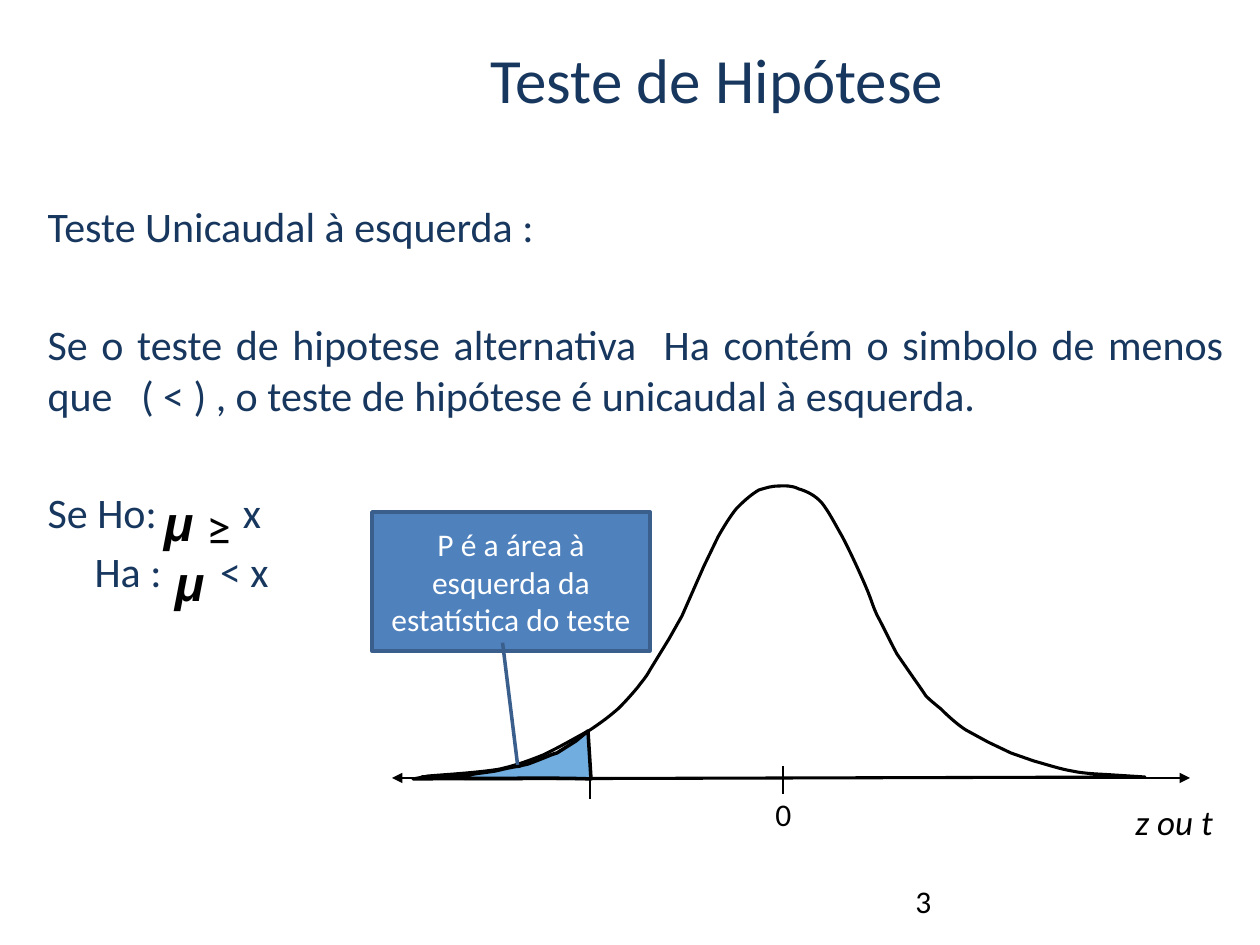
from lxml import etree
from pptx import Presentation
from pptx.dml.color import RGBColor
from pptx.enum.shapes import MSO_CONNECTOR, MSO_SHAPE
from pptx.enum.text import MSO_ANCHOR, MSO_AUTO_SIZE, PP_ALIGN
from pptx.oxml.ns import qn
from pptx.util import Pt

LEFT, CENTER, JUSTIFY = PP_ALIGN.LEFT, PP_ALIGN.CENTER, PP_ALIGN.JUSTIFY
TOP, MIDDLE = MSO_ANCHOR.TOP, MSO_ANCHOR.MIDDLE
STRAIGHT, CALLOUT = MSO_CONNECTOR.STRAIGHT, MSO_SHAPE.LINE_CALLOUT_1
NO_FIT = MSO_AUTO_SIZE.NONE

EMU_PER_PX = 914400 / 126
COLORS = {"navy": "17375E", "black": "000000", "white": "FFFFFF",
          "tail": "71ADDF", "callout": "4F81BD", "callout_edge": "3A5F8C"}

# Content: (parts, space before in points, left indent in pixels);
# a number between two parts widens the space there, in points
TITLE = "Teste de Hipótese"
BODY = [
    (["Teste Unicaudal à esquerda :"], 0, 0),
    (["Se o teste de hipotese alternativa", 7.7,
      "Ha contém o simbolo de menos que", 10.8,
      "( < ) , o teste de hipótese é unicaudal à esquerda."], 39, 0),
    (["Se Ho:", 43.7, "x"], 38, 0),
    (["Ha :", 28, "< x"], 4.8, 47),
]
CALLOUT_TEXT = "P é a área à esquerda da estatística do teste"
CALLOUT_POINTER = (0.941, 0.47, 1.82, 0.524)

# Labels: text, box, format
MU = {"size": 28, "font": "Arial", "bold": True, "italic": True, "inset": 0}
LABELS = [
    ("3", (903, 876, 294, 50), {}),
    ("μ", (164, 493, 38, 59), MU),
    ("≥", (194, 490, 52, 72), {"size": 28}),
    ("μ", (175, 552, 38, 59), MU),
    ("0", (759, 789, 49, 50), {"align": CENTER}),
    ("z ou t", (1123, 794, 122, 55), {"size": 20, "italic": True}),
]

# Axis and its marks: start, end, arrowheads
AXIS_LINES = [
    ((392, 778), (1190, 778), True),
    ((590, 771), (590, 799), False),
    ((783, 766), (783, 794), False),
]

# Outlines: two numbers are a straight step, six are a Bézier step
BELL = [
    (413, 779), (428, 776), (441, 775),
    (454, 774, 483, 772, 500, 769), (517, 765, 528, 761, 543, 755),
    (558, 748, 577, 737, 590, 730), (602, 722, 610, 716, 619, 708),
    (626, 701, 633, 693, 638, 687), (643, 680, 645, 679, 650, 670),
    (669, 639), (682, 616), (693, 591), (704, 566), (718, 537),
    (723, 528, 731, 515, 737, 508), (745, 500, 752, 494, 759, 490),
    (766, 488, 771, 486, 779, 486), (785, 486, 791, 485, 799, 489),
    (806, 491, 815, 495, 822, 503), (829, 512, 834, 522, 842, 536),
    (849, 549, 861, 575, 866, 587), (872, 601, 872, 604, 877, 615),
    (883, 626, 891, 643, 897, 654), (915, 680),
    (920, 687, 922, 690, 926, 696), (931, 701, 935, 704, 941, 709),
    (948, 716, 958, 725, 966, 730), (988, 742), (1011, 753), (1034, 761),
    (1045, 764, 1060, 769, 1072, 771), (1086, 774, 1101, 774, 1114, 775),
    (1145, 777), (413, 779),
]
LEFT_TAIL = [
    (422, 777), (423, 779, 442, 778, 462, 776), (485, 772, 475, 774, 495, 771),
    (513, 767, 489, 772, 513, 767), (532, 764, 505, 769, 528, 764),
    (552, 755, 547, 756, 557, 753), (576, 741), (588, 731), (591, 779),
    (534, 777, 478, 780, 422, 777),
]


def px(value):
    return round(value * EMU_PER_PX)


def rgb(name):
    return RGBColor.from_string(COLORS[name])


def place(shape, box):
    shape.left, shape.top, shape.width, shape.height = map(px, box)


def write(shape, paragraphs, size=18, font="Calibri", color="black", bold=False,
          italic=False, align=LEFT, anchor=TOP, inset=None):
    """Text is a string, or a list of (parts, space before, left indent)."""
    if isinstance(paragraphs, str):
        paragraphs = [([paragraphs], 0, 0)]
    frame = shape.text_frame
    frame.word_wrap, frame.auto_size, frame.vertical_anchor = True, NO_FIT, anchor
    if inset is not None:
        frame.margin_left = frame.margin_right = px(inset)
        frame.margin_top = frame.margin_bottom = px(inset)
    for index, (parts, before, indent) in enumerate(paragraphs):
        paragraph = frame.add_paragraph() if index else frame.paragraphs[0]
        paragraph.alignment, paragraph.space_before = align, Pt(before)
        for part in parts:
            run = paragraph.add_run()
            run.text = part if isinstance(part, str) else " "
            run.font.name, run.font.size = font, Pt(size)
            run.font.bold, run.font.italic = bold, italic
            run.font.color.rgb = rgb(color)
            if not isinstance(part, str):
                run._r.get_or_add_rPr().set("spc", str(round(part * 100)))
        # No bullet, own indent
        properties = paragraph._p.get_or_add_pPr()
        properties.set("marL", str(px(indent)))
        properties.set("indent", "0")
        etree.SubElement(properties, qn("a:buNone"))


def style(shape, line, width, fill=None):
    shape.shadow.inherit = False
    shape.line.color.rgb, shape.line.width = rgb(line), Pt(width)
    if fill:
        shape.fill.solid()
        shape.fill.fore_color.rgb = rgb(fill)
    else:
        shape.fill.background()


def draw_outline(outline, width, fill=None):
    start, *steps = outline
    builder = slide.shapes.build_freeform(*map(px, start))
    builder.add_line_segments([tuple(map(px, step[-2:])) for step in steps], close=True)
    shape = builder.convert_to_shape()
    # Bend the Bézier steps by adding their control points
    segments = list(shape._element.iter(qn("a:lnTo")))
    for segment, step in zip(segments, steps):
        if len(step) == 6:
            segment.tag = qn("a:cubicBezTo")
            for position in (0, 1):
                x, y = step[2 * position:2 * position + 2]
                control = etree.Element(qn("a:pt"), x=str(px(x) - shape.left),
                                        y=str(px(y) - shape.top))
                segment.insert(position, control)
    style(shape, "black", width, fill)


presentation = Presentation()
presentation.slide_width, presentation.slide_height = px(1260), px(945)
slide = presentation.slides.add_slide(presentation.slide_layouts[1])

# Title and body
title, body = slide.placeholders
place(title, (124, 34, 1186, 101))
write(title, TITLE, size=36, color="navy", align=CENTER)
place(body, (35, 194, 1201, 377))
write(body, BODY, size=24, color="navy", align=JUSTIFY)

# Labels
for text, box, text_format in LABELS:
    label = slide.shapes.add_textbox(*map(px, box))
    write(label, text, **text_format)

# Axis and marks
for start, end, arrows in AXIS_LINES:
    axis = slide.shapes.add_connector(STRAIGHT, *map(px, start + end))
    axis.line.color.rgb, axis.line.width = rgb("black"), Pt(0.75)
    if arrows:
        for end_tag in ("a:headEnd", "a:tailEnd"):
            etree.SubElement(axis.line._get_or_add_ln(), qn(end_tag), type="triangle")
    etree.SubElement(axis._element.spPr, qn("a:effectLst"))

# Bell curve and shaded tail
draw_outline(BELL, 1.75)
draw_outline(LEFT_TAIL, 2, "tail")

# Callout pointing at the tail
callout = slide.shapes.add_shape(CALLOUT, *map(px, (372, 512, 278, 139)))
for index, value in enumerate(CALLOUT_POINTER):
    callout.adjustments[index] = value
style(callout, "callout_edge", 2, "callout")
write(callout, CALLOUT_TEXT, color="white", align=CENTER, anchor=MIDDLE)

presentation.save("out.pptx")
